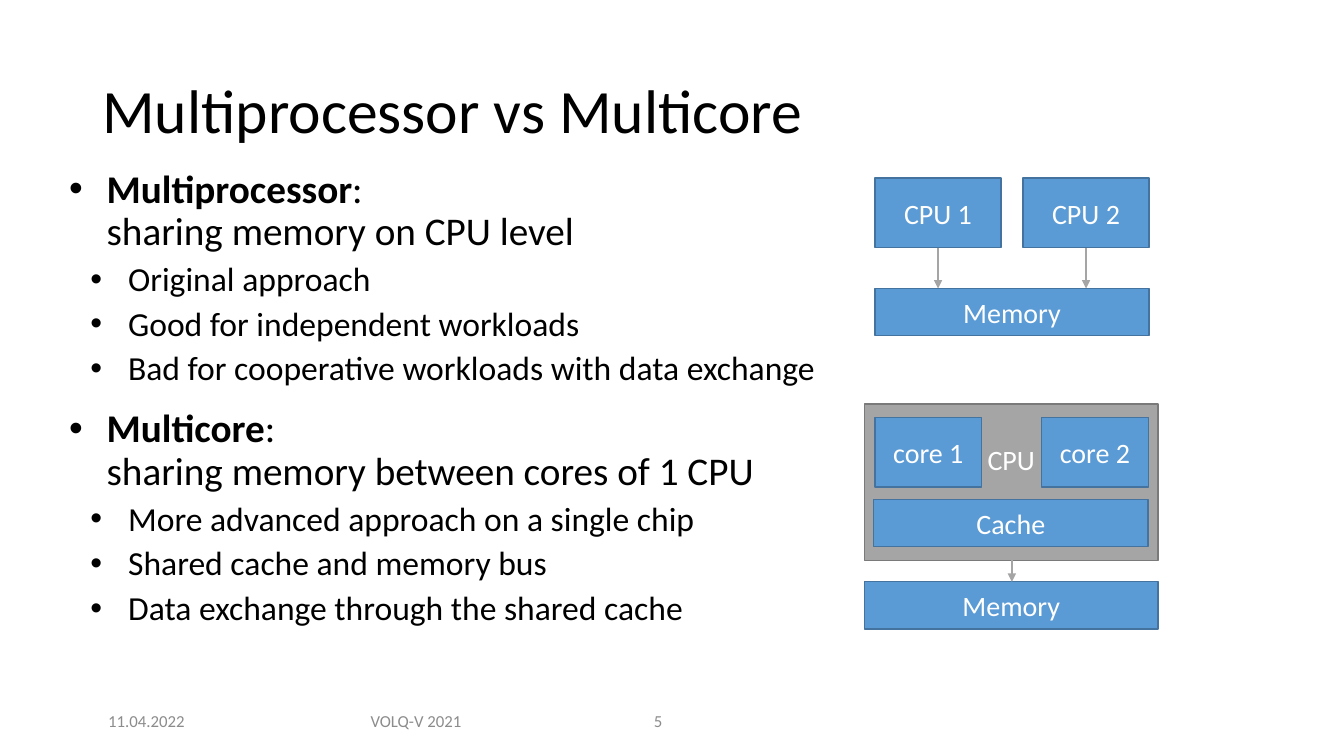
"""Build the slide that compares multiprocessor and multicore systems."""
from pptx import Presentation
from pptx.dml.color import RGBColor
from pptx.enum import shapes, text
from pptx.oxml import parse_xml
from pptx.oxml.ns import nsdecls, qn
from pptx.util import Cm, Pt

BLUE, BLUE_EDGE = "5B9BD5", "43739E"
GRAY, GRAY_EDGE = "A5A5A5", "7A7A7A"
BLACK, WHITE, FOOTER = "000000", "FFFFFF", "8C8C8C"
CENTER = text.PP_ALIGN.CENTER

TOPICS = [
    ("Multiprocessor", "sharing memory on CPU level",
     ["Original approach", "Good for independent workloads",
      "Bad for cooperative workloads with data exchange"]),
    ("Multicore", "sharing memory between cores of 1 CPU",
     ["More advanced approach on a single chip",
      "Shared cache and memory bus",
      "Data exchange through the shared cache"]),
]


def rgb(value):
    """Turn a hex string into a colour."""
    return RGBColor.from_string(value)


def style(p, size, color):
    """Format all runs of a paragraph."""
    for r in p.runs:
        r.font.name = "Calibri"
        r.font.size = Pt(size)
        r.font.color.rgb = rgb(color)


def add_label(slide, box, words, size, color, align=None, spacing=None):
    """Add a one-line text box, centred vertically."""
    tf = slide.shapes.add_textbox(*map(Cm, box)).text_frame
    tf.word_wrap = True
    tf.vertical_anchor = text.MSO_ANCHOR.MIDDLE
    tf.text = words
    p = tf.paragraphs[0]
    p.alignment = align
    p.line_spacing = spacing
    style(p, size, color)


def add_box(slide, box, words, fill=BLUE, edge=BLUE_EDGE):
    """Add a labelled block of the diagram."""
    sp = slide.shapes.add_shape(shapes.MSO_SHAPE.RECTANGLE, *map(Cm, box))
    sp.shadow.inherit = False
    sp.fill.solid()
    sp.fill.fore_color.rgb = rgb(fill)
    sp.line.color.rgb = rgb(edge)
    sp.line.width = Pt(1)
    tf = sp.text_frame
    tf.word_wrap = False
    tf.vertical_anchor = text.MSO_ANCHOR.MIDDLE
    tf.text = words
    tf.paragraphs[0].alignment = CENTER
    style(tf.paragraphs[0], 20, WHITE)
    return sp


def add_arrow(slide, x, top, bottom):
    """Add a downward arrow."""
    line = slide.shapes.add_connector(
        shapes.MSO_CONNECTOR.STRAIGHT, Cm(x), Cm(top), Cm(x), Cm(bottom))
    line.line.color.rgb = rgb(GRAY)
    line.line.width = Pt(1)
    spPr = line._element.spPr
    spPr.find(qn("a:ln")).append(
        parse_xml(f'<a:tailEnd {nsdecls("a")} type="triangle"/>'))
    spPr.append(parse_xml(f'<a:effectLst {nsdecls("a")}/>'))


def format_bullet(p, level, margin, before, size):
    """Give a paragraph its bullet, indent and spacing."""
    p.level = level
    p.line_spacing = 0.9
    p.space_before = Pt(before)
    pPr = p._p.get_or_add_pPr()
    pPr.set("marL", str(Cm(margin)))
    pPr.set("indent", str(-Cm(0.95)))
    pPr.append(parse_xml(f'<a:buFont {nsdecls("a")} typeface="Arial"/>'))
    pPr.append(parse_xml(f'<a:buChar {nsdecls("a")} char="•"/>'))
    style(p, size, BLACK)


def add_topics(slide, box):
    """Add the two-level bullet list."""
    tf = slide.shapes.add_textbox(*map(Cm, box)).text_frame
    tf.word_wrap = True
    for i, (name, summary, points) in enumerate(TOPICS):
        p = tf.add_paragraph() if i else tf.paragraphs[0]
        p.text = name
        p.runs[0].font.bold = True
        p.add_run().text = ":"
        p.add_line_break()
        p.add_run().text = summary
        format_bullet(p, 0, 0.97, 15, 28)
        for point in points:
            p = tf.add_paragraph()
            p.text = point
            format_bullet(p, 1, 1.51, 6, 24)


def add_multiprocessor(slide):
    """Draw two processors that share one memory."""
    for i in range(2):
        left = 22.05 + i * 3.73
        add_box(slide, (left, 4.49, 3.18, 1.75), f"CPU {i + 1}")
        add_arrow(slide, left + 1.59, 6.24, 7.27)
    add_box(slide, (22.05, 7.27, 6.91, 1.19), "Memory")


def add_multicore(slide):
    """Draw one processor with two cores and a shared cache."""
    chip = add_box(slide, (21.79, 10.18, 7.39, 3.94), "CPU", GRAY, GRAY_EDGE)
    chip.text_frame.vertical_anchor = text.MSO_ANCHOR.TOP
    chip.text_frame.margin_top = Cm(0.98)
    for i in range(2):
        add_box(slide, (22.05 + i * 4.2, 10.52, 2.69, 1.75), f"core {i + 1}")
    add_box(slide, (22.02, 12.58, 6.91, 1.19), "Cache")
    add_box(slide, (21.79, 14.66, 7.39, 1.19), "Memory")
    add_arrow(slide, 25.5, 14.12, 14.66)


def main():
    """Build and save the slide."""
    prs = Presentation()
    prs.slide_width, prs.slide_height = Cm(33.87), Cm(19.05)
    slide = prs.slides.add_slide(prs.slide_layouts[6])
    add_label(slide, (2.33, 1.01, 29.21, 3.68),
              "Multiprocessor vs Multicore", 44, BLACK, spacing=0.9)
    add_topics(slide, (1.47, 4.14, 19.48, 14.17))
    add_multiprocessor(slide)
    add_multicore(slide)
    for left, width, words, align in [(2.33, 2.72, "11.04.2022", CENTER),
                                      (8.48, 4.01, "VOLQ-V 2021", CENTER),
                                      (16.23, 2, "5", None)]:
        add_label(slide, (left, 17.65, width, 1.01), words, 12, FOOTER, align)
    prs.save("out.pptx")


if __name__ == "__main__":
    main()
